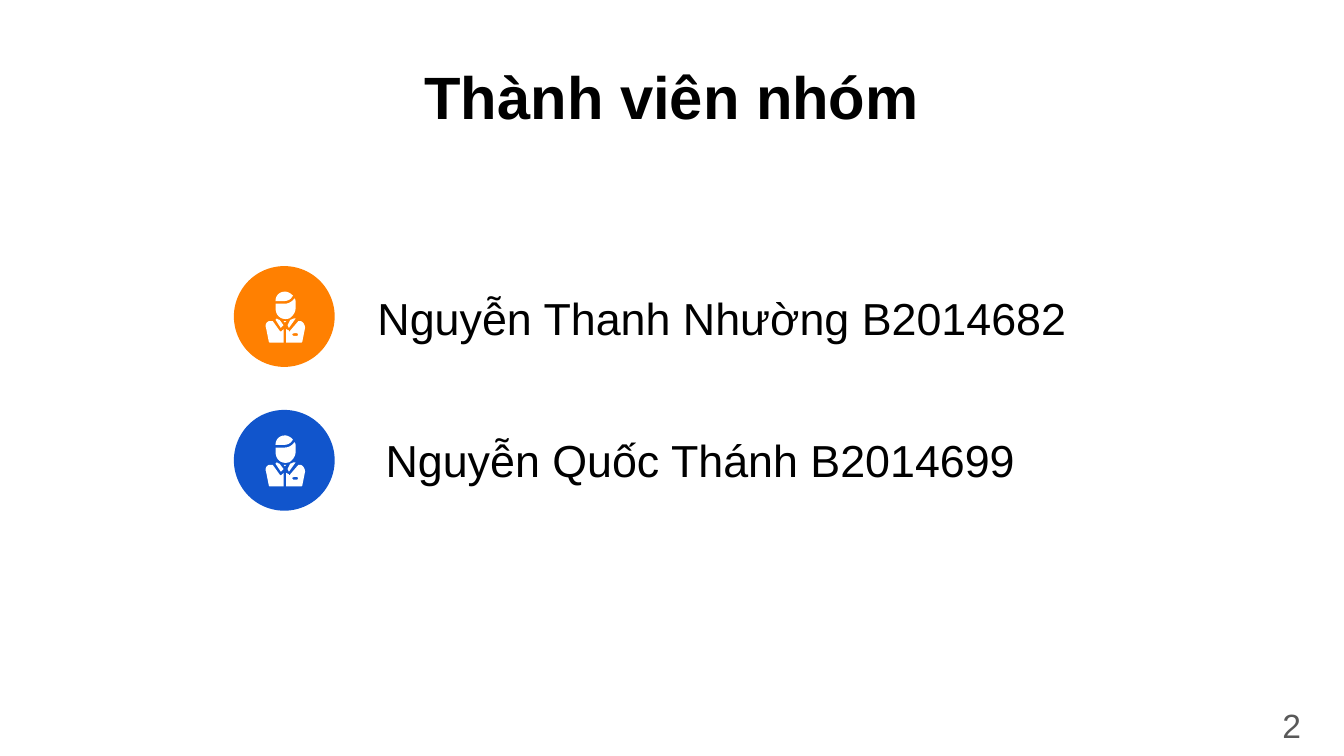
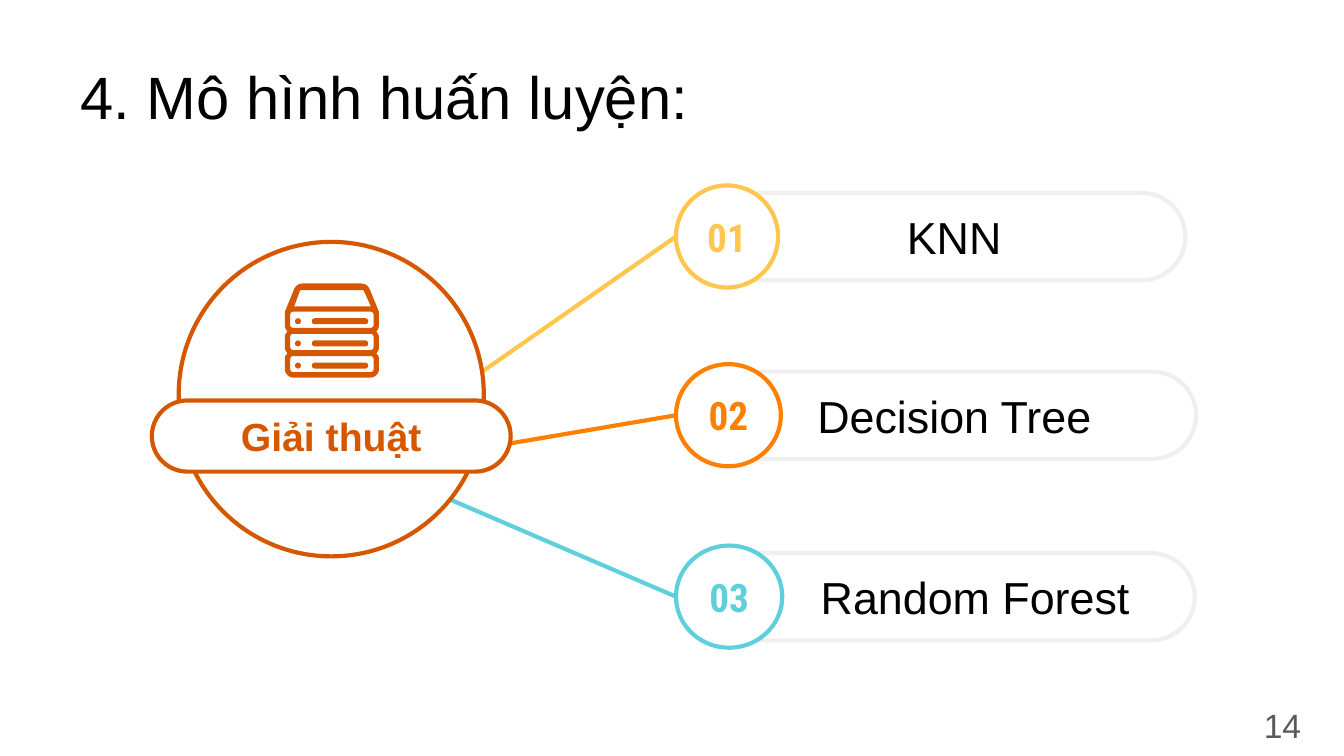
"""Build two slides: the team members and the training models."""
import pptx
import pptx.util
import pptx.dml.color
import pptx.enum.shapes
import pptx.enum.text
import pptx.oxml.ns
import lxml.etree

RGB = pptx.dml.color.RGBColor
SHAPE = pptx.enum.shapes.MSO_SHAPE
ALIGN = pptx.enum.text.PP_ALIGN
ANCHOR = pptx.enum.text.MSO_ANCHOR

BLACK = RGB(0x00, 0x00, 0x00)
WHITE = RGB(0xFF, 0xFF, 0xFF)
GREY = RGB(0x59, 0x59, 0x59)
PALE = RGB(0xEF, 0xEF, 0xEF)
ORANGE = RGB(0xFF, 0x80, 0x01)
BLUE = RGB(0x11, 0x55, 0xCC)
YELLOW = RGB(0xFF, 0xC6, 0x4E)
TEAL = RGB(0x5F, 0xD0, 0xDB)
RUST = RGB(0xD5, 0x58, 0x00)

BODY_FONT = "Arial"
NUMBER_FONT = "Roboto Condensed"
COLS, ROWS = 100, 56.25
CELL = pptx.util.Inches(0.1)
STROKE = pptx.util.Pt(2.25)

PERSON = [
    [(38, 19), (34, 19, 31, 22, 31, 26), (38, 26), (41, 26, 43, 24, 44, 22),
     (42, 20, 40, 19, 38, 19)],
    [(45, 24), (44, 26, 41, 28, 38, 28), (31, 28), (31, 31), (31, 35, 33, 38, 36, 39),
     (38, 39.5, 39, 39.5, 41, 39), (43, 38, 46, 35, 46, 31), (46, 27), (46, 26, 46, 25, 45, 24)],
    [(45, 39), (44, 39, 43, 40, 42, 40), (40, 44), (41, 46), (46, 39)],
    [(32, 39), (31, 40), (35, 46), (37, 44), (34, 40), (33, 40, 32, 39, 32, 39)],
    [(29, 41), (26, 41), (24, 42, 23, 44, 24, 46), (26, 56), (26, 57, 27, 57, 27, 57),
     (37, 57), (37, 47), (36, 48), (35, 49, 35, 49, 34, 48)],
    [(48, 41), (42, 48), (42, 49, 41, 49, 41, 48), (39, 47), (39, 57), (50, 57),
     (50, 57, 51, 57, 51, 56), (53, 46), (53, 44, 52, 42, 50, 41)],
    [(37, 41), (38, 42), (39, 41)],
]
POCKET = [(47, 50), (48, 50, 48, 52, 47, 52), (45, 52), (43, 52, 43, 50, 45, 50)]
SERVER_SIZE = 70
SERVER_LEFT = [
    (13, 0), (10, 0, 8, 2, 7, 4), (0, 21), (0, 31), (0, 33, 1, 35, 2, 35.5),
    (1, 37, 0, 38, 0, 40), (0, 48), (0, 49, 1, 51, 2, 52), (1, 53, 0, 54, 0, 56),
    (0, 64), (0, 67, 3, 70, 6, 70),
]
SERVER_LID = [(57, 5), (58, 5, 59, 5, 59, 6), (64, 17), (7, 17), (11, 6), (11, 5, 12, 5, 13, 5)]
TRAY_TOPS = [21 + 16.5 * i for i in range(3)]


def grid(*lengths):
    """Turn grid cells into slide lengths."""
    return [round(n * CELL) for n in lengths]


def write(tf, text, size, color, align=ALIGN.LEFT, bold=False, font=BODY_FONT,
          anchor=ANCHOR.MIDDLE, sides=(1, 1)):
    """Write one formatted run into a text frame."""
    tf.word_wrap = True
    tf.auto_size = pptx.enum.text.MSO_AUTO_SIZE.NONE
    tf.vertical_anchor = anchor
    tf.margin_left, tf.margin_right = grid(*sides)
    tf.margin_top = tf.margin_bottom = CELL
    p = tf.paragraphs[0]
    p.alignment = align
    r = p.add_run()
    r.text = text
    r.font.size = pptx.util.Pt(size)
    r.font.bold = bold
    r.font.name = font
    r.font.color.rgb = color


def paint(sp, fill, line=None):
    """Set fill and outline and drop the shadow."""
    sp.shadow.inherit = False
    sp.fill.solid()
    sp.fill.fore_color.rgb = fill
    if line is None:
        sp.line.fill.background()
    else:
        sp.line.color.rgb = line
        sp.line.width = STROKE


def add_preset(shapes, kind, box, fill=WHITE, line=None):
    """Add a preset shape; rounded ones become pills."""
    sp = shapes.add_shape(kind, *grid(*box))
    if kind == SHAPE.ROUNDED_RECTANGLE:
        sp.adjustments[0] = 0.5
    paint(sp, fill, line)
    return sp


def add_label(s, box, text, size, color=BLACK, **style):
    """Add a text box."""
    write(s.shapes.add_textbox(*grid(*box)).text_frame, text, size, color, **style)


def add_link(s, start, end, color):
    """Add a straight line between two grid points."""
    line = s.shapes.add_connector(pptx.enum.shapes.MSO_CONNECTOR.STRAIGHT, *grid(*start, *end))
    line.line.color.rgb = color
    line.line.width = STROKE
    lxml.etree.SubElement(line._element.spPr, pptx.oxml.ns.qn("a:effectLst"))


def trace(segments, steps=6):
    """Expand points and cubic curves into a list of points."""
    points = []
    for seg in segments:
        if len(seg) == 2:
            points.append(seg)
            continue
        x0, y0 = points[-1]
        x1, y1, x2, y2, x3, y3 = seg
        for t in (i / steps for i in range(1, steps + 1)):
            a, b, c, d = (1 - t) ** 3, 3 * t * (1 - t) ** 2, 3 * t * t * (1 - t), t ** 3
            points.append((a * x0 + b * x1 + c * x2 + d * x3, a * y0 + b * y1 + c * y2 + d * y3))
    return points


def add_outline(shapes, contours, left, top, fill):
    """Add a freeform whose contours are in tenths of a cell."""
    builder = None
    for contour in contours:
        points = [grid(left + x / 10, top + y / 10) for x, y in contour]
        if builder is None:
            builder = shapes.build_freeform(*points[0], scale=1.0)
        else:
            builder.move_to(*points[0])
        builder.add_line_segments(points[1:], close=True)
    paint(builder.convert_to_shape(), fill)


def tray_hole(top):
    """Return the rounded opening of one server tray."""
    low = top + 12
    return [(6, top), (64, top), (65, top, 66, top + 1, 66, top + 2), (66, low - 2),
            (66, low - 1, 65, low, 64, low), (6, low), (5, low, 4, low - 1, 4, low - 2),
            (4, top + 2), (4, top + 1, 5, top, 6, top)]


def add_person(s, left, top):
    """Draw the white person icon."""
    shapes = s.shapes.add_group_shape().shapes
    for i, part in enumerate(PERSON):
        contours = [part, POCKET] if i == 5 else [part]
        add_outline(shapes, [trace(c) for c in contours], left, top, WHITE)


def add_server(s, left, top):
    """Draw the stacked server icon."""
    shapes = s.shapes.add_group_shape().shapes
    half = trace(SERVER_LEFT)
    outer = half + [(SERVER_SIZE - x, y) for x, y in reversed(half)]
    holes = [trace(c) for c in [SERVER_LID] + [tray_hole(y) for y in TRAY_TOPS]]
    add_outline(shapes, [outer] + holes, left, top, RUST)
    for y in TRAY_TOPS:
        slot = top + (y + 4.8) / 10
        add_preset(shapes, SHAPE.ROUNDED_RECTANGLE, (left + 2, slot, 4.2, 0.45), RUST)
        add_preset(shapes, SHAPE.OVAL, (left + 0.75, slot, 0.45, 0.45), RUST)


def add_slide(prs, title, number, **style):
    """Add a slide with its title and page number."""
    s = prs.slides.add_slide(prs.slide_layouts[5])
    sp = s.shapes.title
    sp.left, sp.top, sp.width, sp.height = grid(5, 4.5, 90, 5.3)
    write(sp.text_frame, title, 32, BLACK, **style)
    add_label(s, (91.8, 51.8, 6, 4.3), number, 18, GREY, align=ALIGN.RIGHT)
    return s


def add_member(s, top, color, name, box):
    """Add a member's badge and name."""
    left = 17.4
    add_preset(s.shapes, SHAPE.OVAL, (left, top, 7.5, 7.5), color)
    add_person(s, left, top)
    add_label(s, box, name, 24, anchor=ANCHOR.TOP)


def add_branch(s, number, name, color, top, start, badge_width, pill, label):
    """Add a link, a pill with a name, and a numbered badge."""
    left, height = 50.3, 7.6
    add_link(s, start, (left, top + height / 2), color)
    add_preset(s.shapes, SHAPE.ROUNDED_RECTANGLE, (pill[0], top + 0.55, pill[1], 6.5), WHITE, PALE)
    add_label(s, (label[0], top + 0.55, label[1], 6.5), name, 24,
              align=ALIGN.CENTER, sides=(6, 2))
    badge = add_preset(s.shapes, SHAPE.OVAL, (left, top, badge_width, height), WHITE, color)
    write(badge.text_frame, number, 21, color, align=ALIGN.CENTER, bold=True,
          font=NUMBER_FONT, sides=(0, 0))


def add_hub(s):
    """Add the central circle with its icon and caption."""
    add_preset(s.shapes, SHAPE.ROUNDED_RECTANGLE, (13.3, 18, 22.7, 23.4), WHITE, RUST)
    add_server(s, 21.2, 21.1)
    band = add_preset(s.shapes, SHAPE.ROUNDED_RECTANGLE, (11.3, 29.8, 26.7, 5.3), WHITE, RUST)
    write(band.text_frame, "Giải thuật", 21, RUST, align=ALIGN.CENTER, bold=True)


def main():
    """Build and save the presentation."""
    prs = pptx.Presentation()
    prs.slide_width, prs.slide_height = grid(COLS, ROWS)

    s = add_slide(prs, "Thành viên nhóm", "2", align=ALIGN.CENTER, bold=True)
    add_member(s, 19.8, ORANGE, "Nguyễn Thanh Nhường B2014682", (27.1, 20.6, 65.8, 10.1))
    add_member(s, 30.5, BLUE, "Nguyễn Quốc Thánh B2014699", (27.7, 31.2, 51.1, 6.1))

    s = add_slide(prs, "4. Mô hình huấn luyện:", "14")
    branches = [
        ("01", "KNN", YELLOW, 13.8, (32.8, 29.8), 7.6, (52, 36.2), (56.2, 25.6)),
        ("02", "Decision Tree", ORANGE, 27.1, (32, 34), 7.8, (50.3, 38.7), (54.1, 29.8)),
        ("03", "Random Forest", TEAL, 40.6, (33.1, 37), 7.9, (51.5, 37.4), (52.2, 36.7)),
    ]
    for branch in branches:
        add_branch(s, *branch)
    add_hub(s)
    prs.save("out.pptx")


if __name__ == "__main__":
    main()
